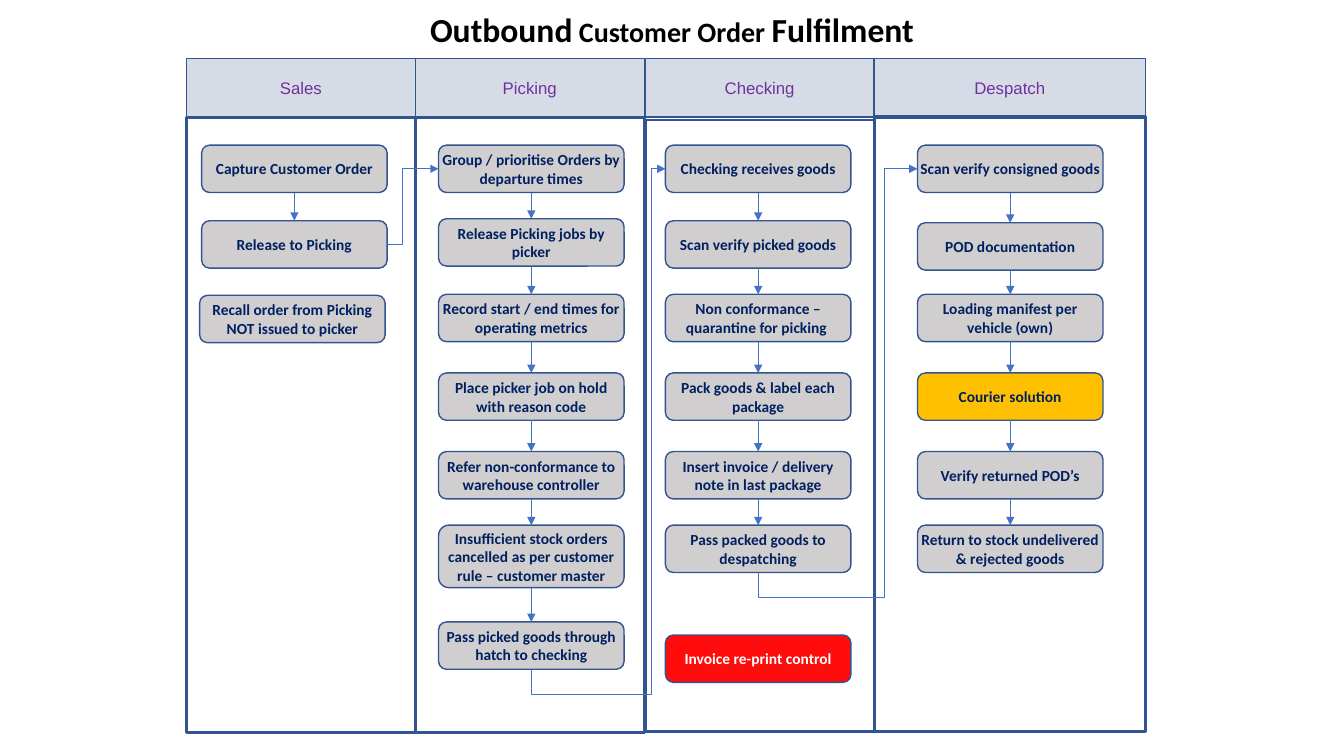
from pptx import Presentation
from pptx.dml.color import RGBColor
from pptx.enum.shapes import MSO_CONNECTOR as CONNECTOR, MSO_SHAPE as SHAPE
from pptx.enum.text import MSO_ANCHOR as ANCHOR, MSO_AUTO_SIZE as AUTO_SIZE, PP_ALIGN as ALIGN
from pptx.oxml.ns import qn
from pptx.util import Inches, Pt
from lxml.etree import SubElement

COLOURS = {
    "title": "000000", "header": "D6DCE5", "header_text": "7030A0",
    "border": "325491", "step": "D0CECE", "step_text": "002060",
    "courier": "FFC000", "reprint": "FF0000", "white": "FFFFFF", "arrow": "4472C4",
}
BOTTOM, TOP, LEFT, RIGHT = 2, 0, 1, 3
STEP_WIDTH, STEP_HEIGHT = 1.84, 0.47

# Lane: name, left, width, header height, body top, body height
LANES = [
    ("Sales", 1.85, 2.27, 0.59, 1.17, 6.1),
    ("Picking", 4.12, 2.27, 0.59, 1.17, 6.1),
    ("Checking", 6.4, 2.27, 0.58, 1.19, 6.07),
    ("Despatch", 8.67, 2.69, 0.59, 1.16, 6.1),
]
# Flow: left edge and its steps as (top, text, further options)
FLOWS = {
    "Sales": (2, [
        (1.44, "Capture Customer Order", {}),
        (2.19, "Release to Picking", {}),
    ]),
    "Picking": (4.35, [
        (1.44, "Group / prioritise Orders by departure times", {}),
        (2.17, "Release Picking jobs by picker", {}),
        (2.92, "Record start / end times for operating metrics", {}),
        (3.7, "Place picker job on hold with reason code", {}),
        (4.48, "Refer non-conformance to warehouse controller", {}),
        (5.21, "Insufficient stock orders cancelled as per customer rule – customer master",
         {"height": 0.62}),
        (6.17, "Pass picked goods through hatch to checking", {}),
    ]),
    "Checking": (6.6, [
        (1.44, "Checking receives goods", {}),
        (2.19, "Scan verify picked goods", {}),
        (2.92, "Non conformance – quarantine for picking ", {}),
        (3.7, "Pack goods & label each package", {}),
        (4.48, "Insert invoice / delivery note in last package", {}),
        (5.21, "Pass packed goods to despatching", {}),
    ]),
    "Despatch": (9.1, [
        (1.44, "Scan verify consigned goods", {}),
        (2.21, "POD documentation", {}),
        (2.92, "Loading manifest per vehicle (own)", {}),
        (3.7, "Courier solution", {"fill": "courier"}),
        (4.48, "Verify returned POD’s", {}),
        (5.21, "Return to stock undelivered & rejected goods", {}),
    ]),
}


def rgb(name):
    return RGBColor.from_string(COLOURS[name])


def write_text(shape, *parts, size=11, font="Calibri", colour="step_text", bold=True,
               anchor=ANCHOR.MIDDLE, side_inset=0.1):
    """Write one centred paragraph; a part is a text or a (text, size) pair."""
    frame = shape.text_frame
    frame.word_wrap = True
    frame.vertical_anchor = anchor
    frame.margin_left = frame.margin_right = Inches(side_inset)
    paragraph = frame.paragraphs[0]
    paragraph.alignment = ALIGN.CENTER
    for part in parts:
        text, part_size = (part, size) if isinstance(part, str) else part
        run = paragraph.add_run()
        run.text = text
        run.font.size = Pt(part_size)
        run.font.name = font
        run.font.bold = bold
        run.font.color.rgb = rgb(colour)


def add_box(slide, kind, left, top, width, height, fill=None, line_width=1):
    shape = slide.shapes.add_shape(kind, Inches(left), Inches(top), Inches(width), Inches(height))
    shape.shadow.inherit = False
    if fill:
        shape.fill.solid()
        shape.fill.fore_color.rgb = rgb(fill)
    else:
        shape.fill.background()
    shape.line.color.rgb = rgb("border")
    shape.line.width = Pt(line_width)
    return shape


def add_title(slide):
    box = slide.shapes.add_textbox(0, Inches(0.04), Inches(13.33), Inches(0.5))
    write_text(box, "Outbound", (" Customer Order ", 20), "Fulfilment",
               size=24, colour="title", anchor=ANCHOR.TOP)
    box.text_frame.auto_size = AUTO_SIZE.SHAPE_TO_FIT_TEXT


def add_lane(slide, name, left, width, header_height, body_top, body_height):
    header = add_box(slide, SHAPE.FLOWCHART_PROCESS, left, 0.58, width, header_height, "header")
    write_text(header, name, size=12, font="Arial", colour="header_text", bold=False)
    add_box(slide, SHAPE.RECTANGLE, left, body_top, width, body_height, line_width=2)


def add_step(slide, left, top, text, height=STEP_HEIGHT, fill="step", colour="step_text"):
    step = add_box(slide, SHAPE.ROUNDED_RECTANGLE, left, top, STEP_WIDTH, height, fill)
    write_text(step, text, colour=colour, side_inset=0)
    return step


def add_arrow(slide, source, source_side, target, target_side, kind=CONNECTOR.STRAIGHT):
    arrow = slide.shapes.add_connector(kind, 0, 0, 0, 0)
    arrow.begin_connect(source, source_side)
    arrow.end_connect(target, target_side)
    arrow.line.color.rgb = rgb("arrow")
    arrow.line.width = Pt(0.5)
    SubElement(arrow.line._get_or_add_ln(), qn("a:tailEnd"), type="triangle")
    SubElement(arrow._element.spPr, qn("a:effectLst"))
    return arrow


def set_bends(arrow, preset, *ratios):
    geometry = arrow._element.spPr.find(qn("a:prstGeom"))
    geometry.set("prst", preset)
    guides = geometry.find(qn("a:avLst"))
    if guides is None:
        guides = SubElement(geometry, qn("a:avLst"))
    for number, ratio in enumerate(ratios, 1):
        SubElement(guides, qn("a:gd"), name=f"adj{number}", fmla=f"val {round(ratio * 100000)}")


def add_return_arrow(slide, source, target, lane_x, drop=0.25):
    """Run below the source, up the gap at lane_x and into the target's left side."""
    arrow = add_arrow(slide, source, BOTTOM, target, LEFT, CONNECTOR.ELBOW)
    start_x, start_y = arrow.begin_x, arrow.begin_y
    across, rise = arrow.end_x - start_x, start_y - arrow.end_y
    set_bends(arrow, "bentConnector4", -Inches(drop) / rise, (Inches(lane_x) - start_x) / across)
    # The box is turned a quarter, so its sides are swapped around the same centre.
    arrow.left = start_x + (across - rise) // 2
    arrow.top = start_y - (rise + across) // 2
    arrow.width, arrow.height = rise, across
    transform = arrow._element.spPr.find(qn("a:xfrm"))
    for name, value in (("rot", "5400000"), ("flipH", "1"), ("flipV", "1")):
        transform.set(name, value)


def main():
    presentation = Presentation()
    presentation.slide_width, presentation.slide_height = Inches(13.33), Inches(7.5)
    slide = presentation.slides.add_slide(presentation.slide_layouts[6])

    add_title(slide)
    for lane in LANES:
        add_lane(slide, *lane)

    steps = {name: [add_step(slide, left, top, text, **options) for top, text, options in flow]
             for name, (left, flow) in FLOWS.items()}
    add_step(slide, 1.98, 2.93, "Recall order from Picking NOT issued to picker")
    reprint = add_step(slide, 6.6, 6.3, "Invoice re-print control", fill="reprint", colour="white")
    red = reprint._element.spPr.find(qn("a:solidFill"))[0]
    SubElement(red, qn("a:alpha"), val="95000")

    for flow in steps.values():
        for source, target in zip(flow, flow[1:]):
            add_arrow(slide, source, BOTTOM, target, TOP)

    release = add_arrow(slide, steps["Sales"][-1], RIGHT, steps["Picking"][0], LEFT,
                        CONNECTOR.ELBOW)
    set_bends(release, "bentConnector3", 0.3)
    add_return_arrow(slide, steps["Picking"][-1], steps["Checking"][0], lane_x=6.46)
    add_return_arrow(slide, steps["Checking"][-1], steps["Despatch"][0], lane_x=8.77)

    presentation.save("out.pptx")


if __name__ == "__main__":
    main()
